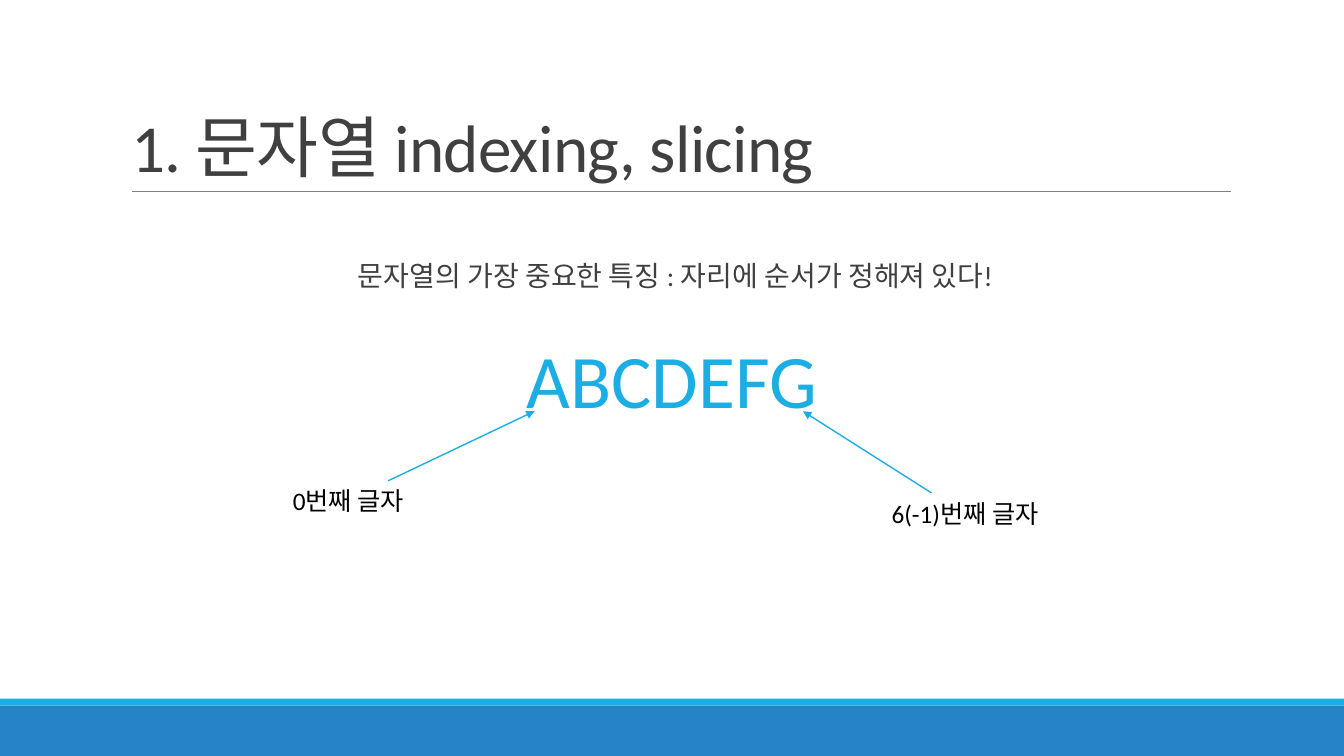
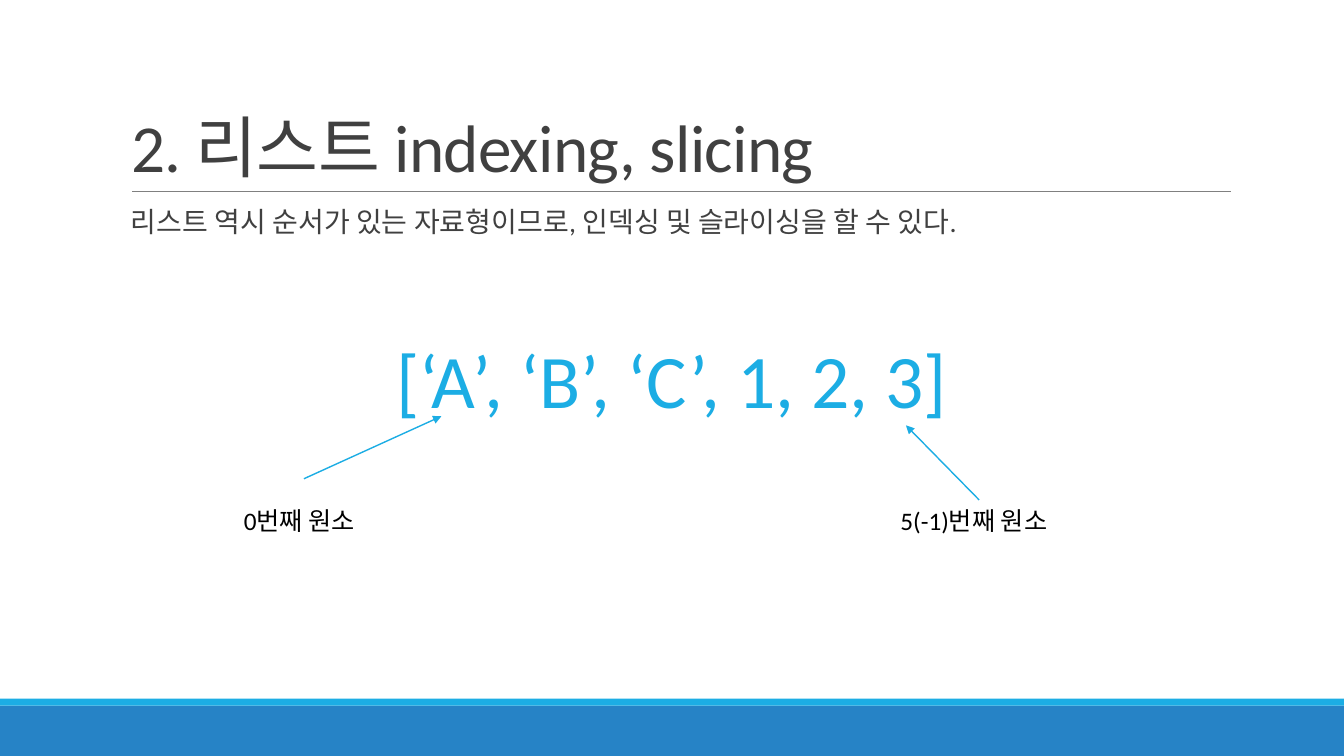
from lxml import etree
from pptx import Presentation
from pptx.dml.color import RGBColor
from pptx.enum.shapes import MSO_CONNECTOR, MSO_SHAPE
from pptx.enum.text import MSO_ANCHOR, MSO_AUTO_SIZE, PP_ALIGN
from pptx.oxml.ns import qn
from pptx.util import Inches, Pt

RECT = MSO_SHAPE.RECTANGLE
STRAIGHT = MSO_CONNECTOR.STRAIGHT
LEFT, CENTER = PP_ALIGN.LEFT, PP_ALIGN.CENTER
TOP, BOTTOM = MSO_ANCHOR.TOP, MSO_ANCHOR.BOTTOM
NO_FIT, GROW = MSO_AUTO_SIZE.NONE, MSO_AUTO_SIZE.SHAPE_TO_FIT_TEXT

FONT = "Calibri"
ACCENT, BAND, RULE = "1CADE4", "2683C6", "808080"
INK, BLACK = "404040", "000000"

TITLE_ONLY = 5
W, H = Inches(13.33), Inches(7.5)
PAGE = (0, 0, W, H)


def rgb(value):
    return RGBColor.from_string(value)


def point(box, x, y):
    left, top, width, height = box
    return int(left + width * x / 100), int(top + height * y / 100)


def part(box, x, y, w, h):
    return (*point(box, x, y), int(box[2] * w / 100), int(box[3] * h / 100))


def write(tf, text, size, color, align=LEFT, spacing=1.0):
    tf.text = text
    p = tf.paragraphs[0]
    p.alignment = align
    p.line_spacing = spacing
    p.font.name = FONT
    p.font.size = Pt(size)
    p.font.color.rgb = rgb(color)
    return p


def add_text(s, box, text, size, color, align=LEFT):
    tf = s.shapes.add_textbox(*box).text_frame
    tf.word_wrap = False
    tf.auto_size = GROW
    write(tf, text, size, color, align)


def add_line(s, start, end, color, width, arrow=False):
    line = s.shapes.add_connector(STRAIGHT, *start, *end)
    line.line.color.rgb = rgb(color)
    line.line.width = Pt(width)
    if arrow:
        ln = line.line._get_or_add_ln()
        etree.SubElement(ln, qn("a:tailEnd"), type="triangle")
    etree.SubElement(line._element.spPr, qn("a:effectLst"))


def add_frame(s, box):
    for y, h, color in ((93.33, 6.67, BAND), (92.4, 0.93, ACCENT)):
        band = s.shapes.add_shape(RECT, *part(box, 0, y, 100, h))
        band.shadow.inherit = False
        band.fill.solid()
        band.fill.fore_color.rgb = rgb(color)
        band.line.fill.background()
    add_line(s, point(box, 9.83, 25.33), point(box, 91.6, 25.33), RULE, 0.5)


def add_title(s, box, text):
    sp = s.shapes.title
    sp.left, sp.top, sp.width, sp.height = box
    tf = sp.text_frame
    tf.auto_size = NO_FIT
    tf.vertical_anchor = BOTTOM
    p = write(tf, text, 48, INK, spacing=0.85)
    p.runs[0]._r.get_or_add_rPr().set("spc", "-50")


def add_lead(s, box, text, align, indent):
    tf = s.shapes.add_textbox(*box).text_frame
    tf.word_wrap = True
    tf.vertical_anchor = TOP
    tf.margin_left, tf.margin_right = Inches(indent), 0
    write(tf, text, 20, INK, align, 0.9)


def add_diagram(s, box, sequence, width, callouts):
    add_text(s, part(box, 49.7 - width / 2, 0, width, 50.5),
             sequence, 54, ACCENT, CENTER)
    for text, label, start, end in callouts:
        add_line(s, point(box, *start), point(box, *end), ACCENT, 1, True)
        add_text(s, part(box, *label, 20), text, 18, BLACK)


def add_slide(prs, title, lead, align, indent, lead_top, sequence, width, callouts):
    s = prs.slides.add_slide(prs.slide_layouts[TITLE_ONLY])
    add_frame(s, PAGE)
    add_title(s, part(PAGE, 9, 4.13, 82.5, 21.2), title)
    add_lead(s, part(PAGE, 9, lead_top, 82.5, 6), lead, align, indent)
    add_diagram(s, part(PAGE, 9, 43.33, 82.5, 26.67), sequence, width, callouts)


SLIDES = [
    dict(
        title="1. 문자열 indexing, slicing",
        lead="문자열의 가장 중요한 특징 : 자리에 순서가 정해져 있다!",
        align=CENTER, indent=0, lead_top=34,
        sequence="ABCDEFG", width=28.3,
        callouts=[
            ("0번째 글자", (14.6, 76, 12.7), (24.1, 76), (37.3, 41.5)),
            ("6(-1)번째 글자", (68.6, 82, 16), (73.1, 82), (61.5, 41.5)),
        ],
    ),
    dict(
        title="2. 리스트 indexing, slicing",
        lead="리스트 역시 순서가 있는 자료형이므로, 인덱싱 및 슬라이싱을 할 수 있다.",
        align=LEFT, indent=0.1, lead_top=26.93,
        sequence="[‘A’, ‘B’, ‘C’, 1, 2, 3]", width=52.1,
        callouts=[
            ("0번째 원소", (10.2, 85.5, 12.7), (16.5, 75), (28.9, 44)),
            ("5(-1)번째 원소", (69.4, 85.5, 16), (77.4, 85.5), (70.8, 48.5)),
        ],
    ),
]


def main():
    prs = Presentation()
    prs.slide_width, prs.slide_height = W, H
    for content in SLIDES:
        add_slide(prs, **content)
    prs.save("out.pptx")


if __name__ == "__main__":
    main()
